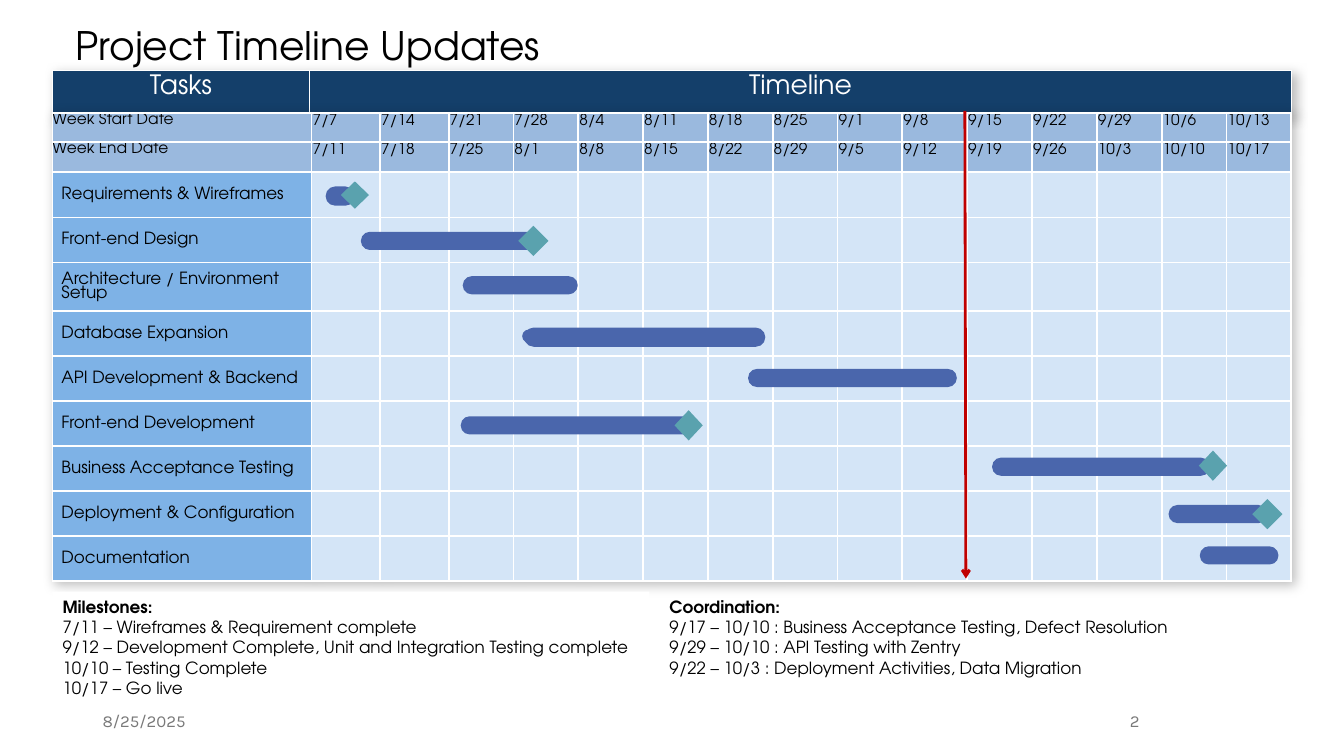
from typing import NamedTuple

from lxml.etree import SubElement
from pptx import Presentation
from pptx.dml.color import RGBColor
from pptx.enum.shapes import MSO_CONNECTOR, MSO_SHAPE
from pptx.enum.text import MSO_ANCHOR, MSO_AUTO_SIZE, PP_ALIGN
from pptx.oxml import parse_xml
from pptx.oxml.ns import nsdecls, qn
from pptx.util import Inches, Pt

FONT, FOOTER_FONT = "TeX Gyre Adventor", "Karla"
BLACK = RGBColor(0x00, 0x00, 0x00)
WHITE = RGBColor(0xFF, 0xFF, 0xFF)
GRAY = RGBColor(0x79, 0x79, 0x79)
NAVY = RGBColor(0x14, 0x3F, 0x6A)
DATE_BLUE = RGBColor(0x9A, 0xB9, 0xDE)
TASK_BLUE = RGBColor(0x7E, 0xB2, 0xE6)
GRID_BLUE = RGBColor(0xD4, 0xE5, 0xF7)
BAR_BLUE = RGBColor(0x4A, 0x66, 0xAC)
TEAL = RGBColor(0x5A, 0xA2, 0xAE)
RED = RGBColor(0xC0, 0x00, 0x00)


class Box(NamedTuple):
    left: float
    top: float
    width: float
    height: float


class CellStyle(NamedTuple):
    fill: RGBColor
    size: float
    color: RGBColor = BLACK
    margins: tuple = (0.01, 0.01, 0.01, 0)
    align: PP_ALIGN = PP_ALIGN.LEFT
    anchor: MSO_ANCHOR = MSO_ANCHOR.TOP
    line_spacing: float = 0.9


HEADER = CellStyle(NAVY, 19, WHITE, (0.11, 0.06, 0.11, 0.06), PP_ALIGN.CENTER)
# Full line spacing keeps the tops of the date letters inside their rows
WEEK_LABEL = CellStyle(DATE_BLUE, 11, margins=(0, 0, 0, 0), line_spacing=1.0)
WEEK_DATE = CellStyle(DATE_BLUE, 11, line_spacing=1.0)
TASK = CellStyle(TASK_BLUE, 12, margins=(0.09, 0.01, 0.01, 0), anchor=MSO_ANCHOR.MIDDLE)
GRID = CellStyle(GRID_BLUE, 12)

WEEK_STARTS = ("7/7 7/14 7/21 7/28 8/4 8/11 8/18 8/25 9/1 9/8 "
               "9/15 9/22 9/29 10/6 10/13").split()
WEEK_ENDS = ("7/11 7/18 7/25 8/1 8/8 8/15 8/22 8/29 9/5 9/12 "
             "9/19 9/26 10/3 10/10 10/17").split()
TASKS = ["Requirements & Wireframes", "Front-end Design",
         "Architecture / Environment Setup", "Database Expansion",
         "API Development & Backend", "Front-end Development",
         "Business Acceptance Testing", "Deployment & Configuration",
         "Documentation"]
BARS = [
    Box(3.23, 1.85, 0.29, 0.19), Box(3.58, 2.3, 1.73, 0.18),
    Box(4.59, 2.74, 1.14, 0.18), Box(5.2, 3.25, 2.39, 0.19),
    Box(5.18, 3.27, 2.27, 0.13), Box(7.42, 3.66, 2.07, 0.18),
    Box(4.57, 4.13, 2.3, 0.18), Box(9.84, 4.54, 2.16, 0.18),
    Box(11.59, 5.01, 0.98, 0.18), Box(11.9, 5.42, 0.78, 0.18),
]
DIAMONDS = [
    Box(3.38, 1.8, 0.28, 0.27), Box(5.14, 2.24, 0.3, 0.3),
    Box(6.69, 4.07, 0.28, 0.3), Box(11.89, 4.47, 0.28, 0.3),
    Box(12.42, 4.95, 0.3, 0.3),
]
MILESTONES = ["Milestones:", "7/11 – Wireframes & Requirement complete",
              "9/12 – Development Complete, Unit and Integration Testing complete",
              "10/10 – Testing Complete", "10/17 – Go live"]
COORDINATION = ["Coordination:",
                "9/17 – 10/10 : Business Acceptance Testing, Defect Resolution",
                "9/29 – 10/10 : API Testing with Zentry",
                "9/22 – 10/3 : Deployment Activities, Data Migration"]


def inches(box: Box) -> list:
    return [Inches(v) for v in box]


def place(sp, box: Box) -> None:
    sp.left, sp.top, sp.width, sp.height = inches(box)


def add_run(p, text: str, size: float, color: RGBColor, font: str = FONT,
            bold: bool = False) -> None:
    r = p.add_run()
    r.text = text
    r.font.name, r.font.size, r.font.bold = font, Pt(size), bold
    r.font.color.rgb = color


def style_cell(cell, text: str, style: CellStyle) -> None:
    tc_pr = cell._tc.get_or_add_tcPr()
    for side in ("lnL", "lnR", "lnT", "lnB"):
        ln = SubElement(tc_pr, qn(f"a:{side}"), w=str(Pt(1.5)))
        SubElement(SubElement(ln, qn("a:solidFill")), qn("a:srgbClr"), val=str(WHITE))
    cell.fill.solid()
    cell.fill.fore_color.rgb = style.fill
    (cell.margin_left, cell.margin_top,
     cell.margin_right, cell.margin_bottom) = [Inches(m) for m in style.margins]
    cell.vertical_anchor = style.anchor
    p = cell.text_frame.paragraphs[0]
    p.alignment, p.line_spacing = style.align, style.line_spacing
    p.font.size = Pt(style.size)
    if text:
        add_run(p, text, style.size, style.color)


def add_grid(s, box: Box, cols: list, rows: list, cells: list) -> None:
    tbl = s.shapes.add_table(len(rows), len(cols), *inches(box)).table
    tbl._tbl.tblPr.insert(0, parse_xml(
        f'<a:effectLst {nsdecls("a")}><a:outerShdw blurRad="100000" dist="38100" '
        'dir="2700000" algn="tl" rotWithShape="0"><a:prstClr val="black">'
        '<a:alpha val="25000"/></a:prstClr></a:outerShdw></a:effectLst>'))
    for col, width in zip(tbl.columns, cols):
        col.width = Inches(width)
    for row, height, contents in zip(tbl.rows, rows, cells):
        row.height = Inches(height)
        for cell, (text, style) in zip(row.cells, contents):
            style_cell(cell, text, style)


def add_mark(s, kind: MSO_SHAPE, box: Box, color: RGBColor) -> None:
    sp = s.shapes.add_shape(kind, *inches(box))
    sp.shadow.inherit = False
    sp.fill.solid()
    sp.fill.fore_color.rgb = color
    sp.line.fill.background()
    if kind == MSO_SHAPE.ROUNDED_RECTANGLE:
        sp.adjustments[0] = 0.49


def fill_list(sp, box: Box, lines: list) -> None:
    place(sp, box)
    sp.element.getparent().append(sp.element)  # in front of the table shadow
    tf = sp.text_frame
    tf.auto_size, tf.vertical_anchor = MSO_AUTO_SIZE.NONE, MSO_ANCHOR.TOP
    for i, line in enumerate(lines):
        p = tf.add_paragraph() if i else tf.paragraphs[0]
        p_pr = p._p.get_or_add_pPr()
        p_pr.set("marL", "0")
        p_pr.set("indent", "0")
        SubElement(p_pr, qn("a:buNone"))
        p.space_before = Pt(0)
        add_run(p, line, 12, BLACK, bold=i == 0)


def add_footer(s, box: Box, text: str, align: PP_ALIGN) -> None:
    tf = s.shapes.add_textbox(*inches(box)).text_frame
    tf.word_wrap, tf.vertical_anchor = True, MSO_ANCHOR.MIDDLE
    p = tf.paragraphs[0]
    p.alignment, p.space_after = align, Pt(6)
    add_run(p, text, 12, GRAY, FOOTER_FONT)


def main() -> None:
    prs = Presentation()
    prs.slide_width, prs.slide_height = Inches(13.33), Inches(7.5)
    s = prs.slides.add_slide(prs.slide_layouts[3])
    title, milestones, coordination = s.placeholders

    # Title
    place(title, Box(0.65, 0.21, 11.5, 0.53))
    tf = title.text_frame
    tf.auto_size, tf.vertical_anchor = MSO_AUTO_SIZE.NONE, MSO_ANCHOR.MIDDLE
    p = tf.paragraphs[0]
    p.alignment, p.line_spacing = PP_ALIGN.LEFT, 0.9
    add_run(p, "Project Timeline Updates", 28, BLACK)

    # Header and schedule tables
    add_grid(s, Box(0.52, 0.7, 12.29, 0.43), [2.55, 9.74], [0.43],
             [[("Tasks", HEADER), ("Timeline", HEADER)]])
    week = (12.29 - 2.57 - 2 * 0.68) / 13
    task_row = (4.65 - 0.29 - 0.3 - 0.48) / 8
    weeks = [[(label, WEEK_LABEL)] + [(d, WEEK_DATE) for d in dates]
             for label, dates in (("Week Start Date", WEEK_STARTS),
                                  ("Week End Date", WEEK_ENDS))]
    tasks = [[(task, TASK)] + [("", GRID)] * len(WEEK_STARTS) for task in TASKS]
    add_grid(s, Box(0.52, 1.12, 12.29, 4.65), [2.57, 0.68, 0.68] + [week] * 13,
             [0.29, 0.3] + [task_row] * 2 + [0.48] + [task_row] * 6, weeks + tasks)

    # Task bars and milestone diamonds
    for bar in BARS:
        add_mark(s, MSO_SHAPE.ROUNDED_RECTANGLE, bar, BAR_BLUE)
    for diamond in DIAMONDS:
        add_mark(s, MSO_SHAPE.FLOWCHART_DECISION, diamond, TEAL)

    # Current date arrow
    today = s.shapes.add_connector(MSO_CONNECTOR.STRAIGHT, Inches(9.57), Inches(1.1),
                                   Inches(9.58), Inches(5.74))
    today.line.color.rgb, today.line.width = RED, Pt(2)
    SubElement(today.line._get_or_add_ln(), qn("a:tailEnd"), type="arrow")
    SubElement(today._element.spPr, qn("a:effectLst"))

    # Notes below the schedule
    milestones.fill.solid()
    milestones.fill.fore_color.rgb = WHITE
    fill_list(milestones, Box(0.52, 5.87, 5.92, 1.11), MILESTONES)
    fill_list(coordination, Box(6.54, 5.87, 6.18, 1.11), COORDINATION)

    # Footer
    add_footer(s, Box(0.92, 6.95, 3, 0.4), "8/25/2025", PP_ALIGN.LEFT)
    add_footer(s, Box(9.42, 6.95, 1.98, 0.4), "2", PP_ALIGN.RIGHT)
    prs.save("out.pptx")


if __name__ == "__main__":
    main()
